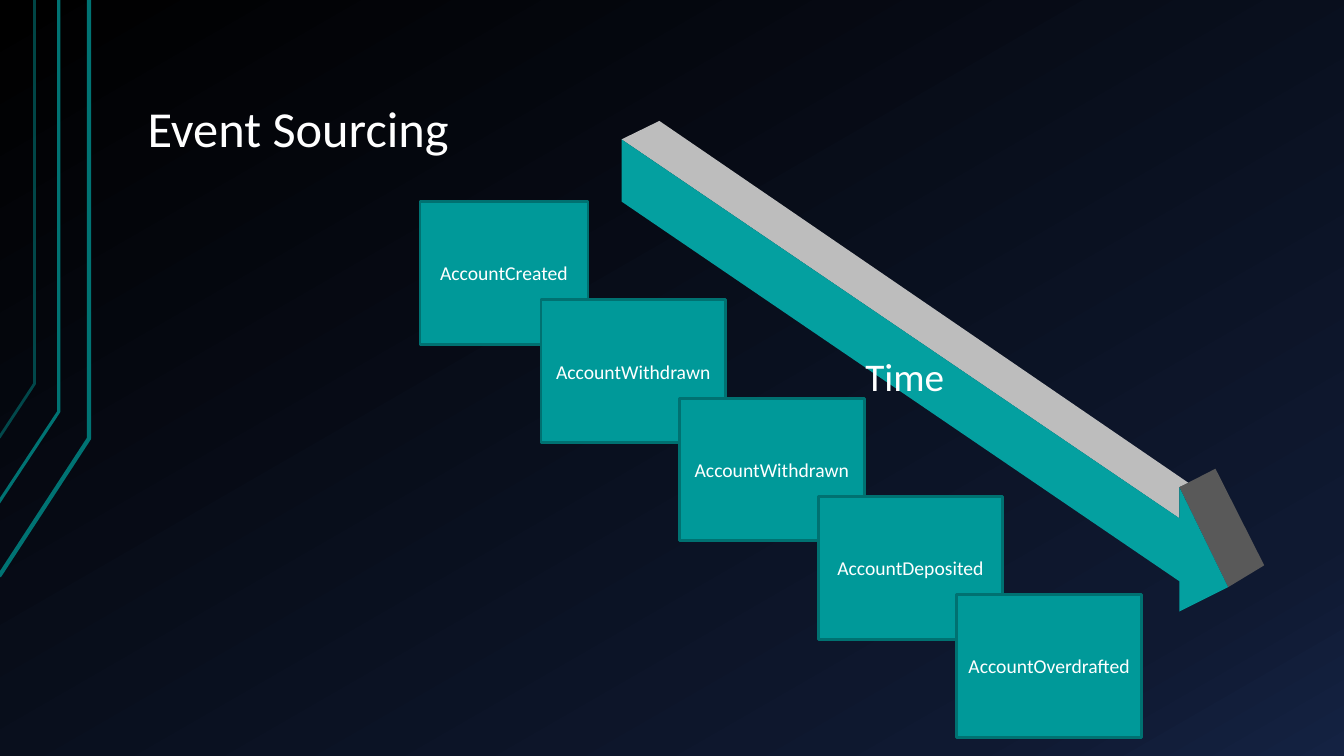
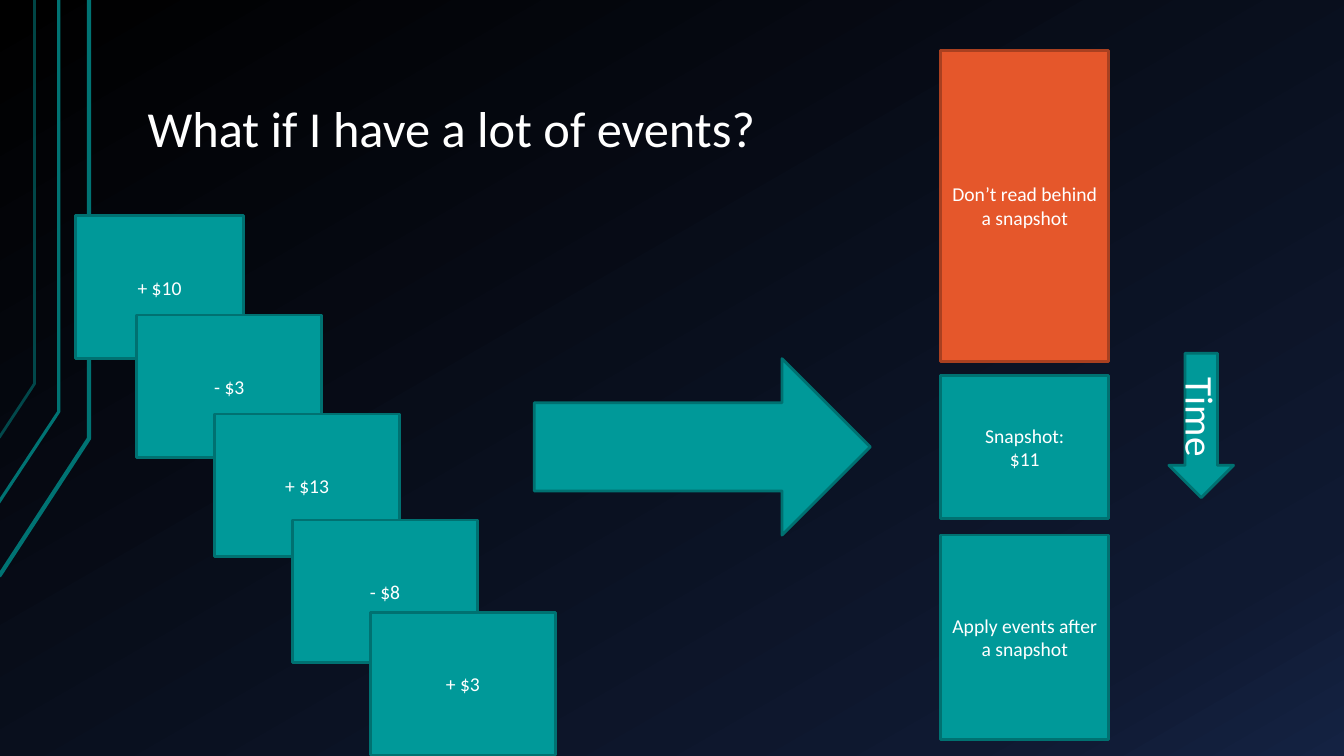
from dataclasses import dataclass
from typing import Optional

from lxml.etree import SubElement
from pptx import Presentation
from pptx.dml.color import RGBColor
from pptx.enum.shapes import MSO_SHAPE
from pptx.enum.text import MSO_ANCHOR, PP_ALIGN
from pptx.oxml.ns import qn
from pptx.presentation import Presentation as Deck
from pptx.shapes.base import BaseShape
from pptx.slide import Slide, SlideLayout
from pptx.text.text import TextFrame
from pptx.util import Inches, Length, Pt

COLUMNS, ROWS = 160, 90
SLIDE_WIDTH, SLIDE_HEIGHT = Inches(13.33), Inches(7.5)
FONT = "Calibri"
WHITE = RGBColor(0xFF, 0xFF, 0xFF)
TEAL = RGBColor(0x00, 0x99, 0x99)
TEAL_EDGE = RGBColor(0x00, 0x71, 0x71)
TEAL_FRONT = RGBColor(0x04, 0xA0, 0xA0)
ORANGE = RGBColor(0xE5, 0x57, 0x2B)
ORANGE_EDGE = RGBColor(0xA9, 0x40, 0x20)
RAIL_COLOR = RGBColor(0x00, 0x73, 0x73)
TOP_GRAY = RGBColor(0xBD, 0xBD, 0xBD)
END_GRAY = RGBColor(0x59, 0x59, 0x59)
BACKGROUND_STOPS = (
    (0, RGBColor(0x00, 0x00, 0x00)),
    (85, RGBColor(0x0F, 0x19, 0x31)),
    (100, RGBColor(0x14, 0x22, 0x42)),
)
BACKGROUND_ANGLE = 60

Point = tuple[float, float]


@dataclass(frozen=True)
class Block:
    column: float
    row: float
    columns: float
    rows: float
    lines: tuple[str, ...] = ()
    fill: RGBColor = TEAL
    edge: RGBColor = TEAL_EDGE
    kind: MSO_SHAPE = MSO_SHAPE.RECTANGLE
    size: float = 14
    rotation: float = 0


@dataclass(frozen=True)
class Rail:
    points: tuple[Point, ...]
    weight: float
    opacity: int = 100


@dataclass(frozen=True)
class Face:
    points: tuple[Point, ...]
    fill: RGBColor
    text: str = ""


RAILS = (
    Rail(((-0.1, 68.6), (10.6, 52.2), (10.6, 0)), 3),
    Rail(((-0.2, 59.9), (7, 49), (7, 0)), 2.25),
    Rail(((-0.1, 52.1), (4.1, 45.7), (4.1, 0)), 2, 60),
)
TIME_ARROW_FACES = (
    Face(((74, 16.6), (78.5, 14.4), (141.5, 57.5), (140.4, 58), (140.4, 61.7)), TOP_GRAY),
    Face(((140.4, 58), (144.7, 55.8), (150.5, 67.3), (146.2, 69.9)), END_GRAY),
    Face(((74, 16.6), (140.4, 61.7), (140.4, 58), (146.2, 69.9),
          (140.4, 72.8), (140.4, 69.2), (74, 24)), TEAL_FRONT, "Time"),
)
SNAPSHOT_BLOCKS = (
    Block(112, 44.75, 20, 17, ("Snapshot:", "$11")),
    Block(63.6, 42.7, 40, 21, kind=MSO_SHAPE.RIGHT_ARROW),
    Block(112, 6, 20, 37, ("Don’t read behind a snapshot",), ORANGE, ORANGE_EDGE),
    Block(112, 63.7, 20, 24.3, ("Apply events after a snapshot",)),
    Block(134.4, 46.8, 17.2, 7.7, ("Time",), kind=MSO_SHAPE.RIGHT_ARROW, size=28, rotation=90),
)


def across(columns: float) -> Length:
    return Length(round(SLIDE_WIDTH * columns / COLUMNS))


def down(rows: float) -> Length:
    return Length(round(SLIDE_HEIGHT * rows / ROWS))


def write_lines(frame: TextFrame, lines: tuple[str, ...], size: float,
                alignment: PP_ALIGN = PP_ALIGN.CENTER) -> None:
    for index, line in enumerate(lines):
        paragraph = frame.add_paragraph() if index else frame.paragraphs[0]
        paragraph.alignment = alignment
        run = paragraph.add_run()
        run.text = line
        run.font.name = FONT
        run.font.size = Pt(size)
        run.font.color.rgb = WHITE


def add_outline(slide: Slide, points: tuple[Point, ...], closed: bool) -> BaseShape:
    corners = [(across(column), down(row)) for column, row in points]
    builder = slide.shapes.build_freeform(*corners[0])
    builder.add_line_segments(corners[1:], close=closed)
    shape = builder.convert_to_shape()
    shape.shadow.inherit = False
    return shape


def add_face(slide: Slide, face: Face) -> None:
    shape = add_outline(slide, face.points, True)
    shape.fill.solid()
    shape.fill.fore_color.rgb = face.fill
    shape.line.fill.background()
    if face.text:
        frame = shape.text_frame
        frame.vertical_anchor = MSO_ANCHOR.MIDDLE
        frame.margin_left, frame.margin_right = 0, across(4.8)
        write_lines(frame, (face.text,), 28)


def add_block(slide: Slide, block: Block) -> None:
    shape = slide.shapes.add_shape(block.kind, across(block.column), down(block.row),
                                   across(block.columns), down(block.rows))
    shape.shadow.inherit = False
    shape.rotation = block.rotation
    shape.fill.solid()
    shape.fill.fore_color.rgb = block.fill
    shape.line.color.rgb = block.edge
    shape.line.width = Pt(2)
    shape.text_frame.word_wrap = True
    shape.text_frame.vertical_anchor = MSO_ANCHOR.MIDDLE
    write_lines(shape.text_frame, block.lines, block.size)


def cascade(labels: tuple[str, ...], first_column: float, second_column: float,
            column_step: float, first_row: float, row_step: float,
            row_shifts: Optional[dict[int, float]] = None) -> list[Block]:
    shifts = row_shifts or {}
    blocks = []
    for index, label in enumerate(labels):
        column = second_column + (index - 1) * column_step if index else first_column
        row = first_row + index * row_step + shifts.get(index, 0)
        blocks.append(Block(column, row, 22 if index else 20, 17, (label,)))
    return blocks


def style_layout(layout: SlideLayout) -> None:
    fill = layout.background.fill
    fill.gradient()
    fill.gradient_angle = 360 - BACKGROUND_ANGLE
    stops = next(layout.element.iter(qn("a:gsLst")))
    for stop in list(stops):
        stops.remove(stop)
    for position, color in BACKGROUND_STOPS:
        stop = SubElement(stops, qn("a:gs"), pos=str(position * 1000))
        SubElement(stop, qn("a:srgbClr"), val=str(color))
    title = layout.placeholders[0]
    title.left, title.top = across(16), down(3.6)
    title.width, title.height = across(136), down(16.1)
    frame = title.text_frame
    frame.word_wrap = True
    frame.vertical_anchor = MSO_ANCHOR.BOTTOM
    frame.margin_left = frame.margin_right = Inches(0.13)
    frame.margin_top = frame.margin_bottom = Inches(0.07)


def add_rails(slide: Slide, layout: SlideLayout) -> None:
    for index, rail in enumerate(RAILS):
        shape = add_outline(slide, rail.points, False)
        shape.fill.background()
        shape.line.color.rgb = RAIL_COLOR
        shape.line.width = Pt(rail.weight)
        if rail.opacity < 100:
            color = next(shape.line._ln.iter(qn("a:srgbClr")))
            SubElement(color, qn("a:alpha"), val=str(rail.opacity * 1000))
        shape.element.nvSpPr.cNvPr.set("id", str(100 + index))
        layout.shapes.element.insert(2 + index, shape.element)


def add_titled_slide(presentation: Deck, layout: SlideLayout, title: str) -> Slide:
    slide = presentation.slides.add_slide(layout)
    frame = slide.shapes.title.text_frame
    write_lines(frame, (title,), 36, PP_ALIGN.LEFT)
    frame.paragraphs[0].line_spacing = 0.9
    return slide


def main() -> None:
    presentation = Presentation()
    presentation.slide_width, presentation.slide_height = SLIDE_WIDTH, SLIDE_HEIGHT
    layout = presentation.slide_layouts.get_by_name("Title Only")
    style_layout(layout)

    sourcing = add_titled_slide(presentation, layout, "Event Sourcing")
    add_rails(sourcing, layout)
    events = ("AccountCreated", "AccountWithdrawn", "AccountWithdrawn",
              "AccountDeposited", "AccountOverdrafted")
    for block in cascade(events, 50, 64.4, 16.5, 24, 11.7):
        add_block(sourcing, block)
    for face in TIME_ARROW_FACES:
        add_face(sourcing, face)

    snapshots = add_titled_slide(presentation, layout, "What if I have a lot of events?")
    amounts = ("+ $10", "- $3", "+ $13", "- $8", "+ $3")
    for block in cascade(amounts, 9, 16.3, 9.27, 25.7, 11.8, {3: 0.8}):
        add_block(snapshots, block)
    for block in SNAPSHOT_BLOCKS:
        add_block(snapshots, block)

    presentation.save("out.pptx")


if __name__ == "__main__":
    main()
